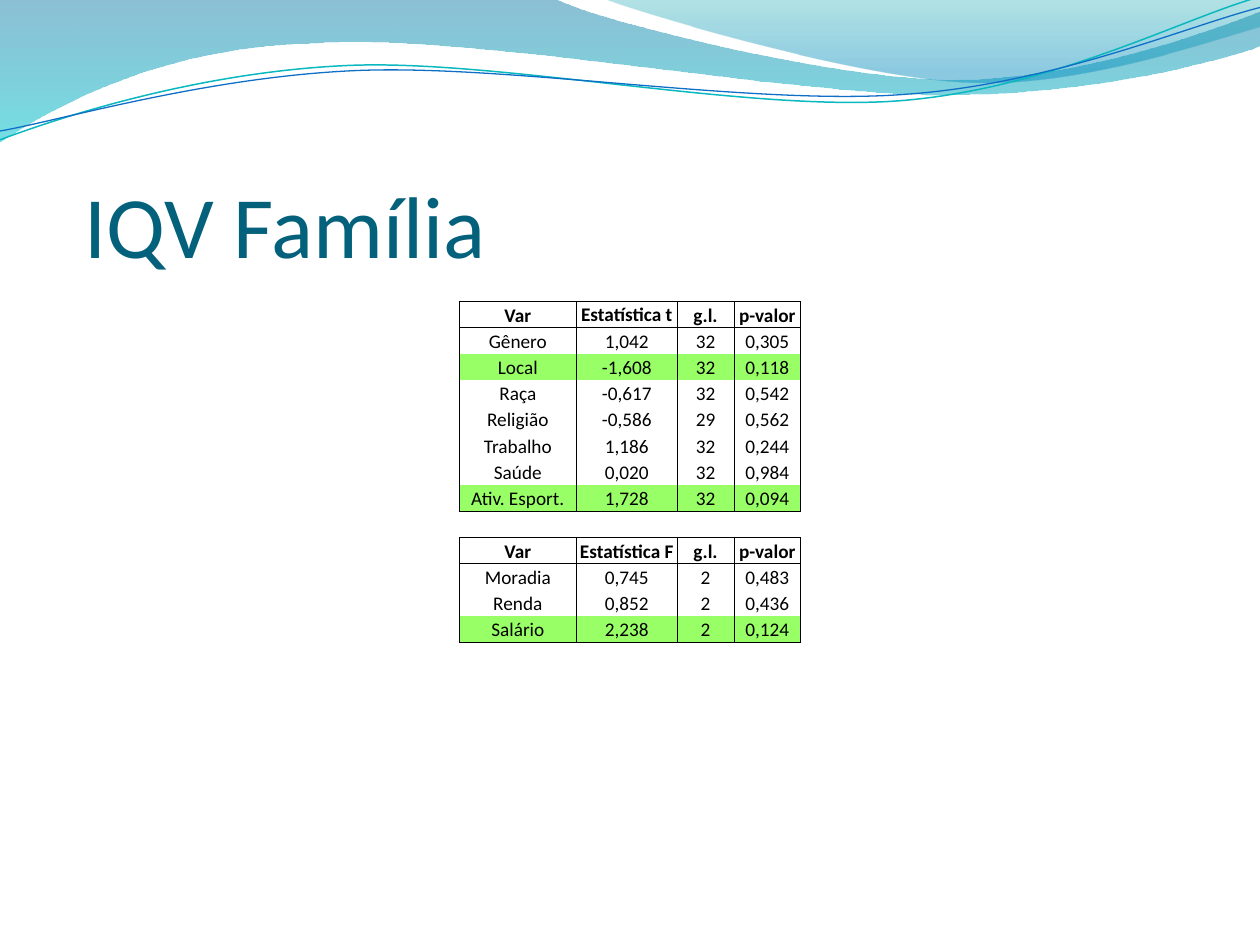
import math

import lxml.etree
import pptx
import pptx.dml.color
import pptx.enum.text
import pptx.oxml.ns
import pptx.util

ANCHOR = pptx.enum.text.MSO_ANCHOR
ALIGN = pptx.enum.text.PP_ALIGN
qn = pptx.oxml.ns.qn


def rgb(value):
    return pptx.dml.color.RGBColor.from_string(value)


def write(tf, text, size=11, color="000000", bold=False, align=ALIGN.CENTER,
          anchor=ANCHOR.MIDDLE):
    tf.vertical_anchor = anchor
    p = tf.paragraphs[0]
    p.alignment = align
    r = p.add_run()
    r.text = text
    r.font.name = "Calibri"
    r.font.size = pptx.util.Pt(size)
    r.font.bold = bold
    r.font.color.rgb = rgb(color)


prs = pptx.Presentation()
prs.slide_width = pptx.util.Inches(10)
prs.slide_height = pptx.util.Inches(7.5)
W, H = prs.slide_width, prs.slide_height
slide = prs.slides.add_slide(prs.slide_layouts[5])

waves = [
    dict(start=(0, 0), stops=[(0, "0074A1", 45), (1, "00C6CF", 55)], segments=[
        [(4.4, -0.01)],
        [(4.76, 0.17), (6.64, 0.63), (7.58, 0.63)],
        [(8.53, 0.63), (9.58, 0.26), (10, 0.09)],
        [(10.01, 0.36)],
        [(9.83, 0.44), (8.7, 0.76), (7.46, 0.75)],
        [(6.22, 0.75), (3.82, 0.28), (2.57, 0.34)],
        [(1.29, 0.36), (0.46, 0.83), (-0.01, 1.13)],
        [(0, 0)]]),
    dict(start=(4.79, -0.01), stops=[(0, "00A1A9", 30), (0.8, "008BBF", 45)], segments=[
        [(5.09, 0.11), (6.82, 0.62), (7.69, 0.65)],
        [(8.56, 0.69), (9.61, 0.32), (10, 0.21)],
        [(10, 0)],
        [(4.79, -0.01)]]),
    dict(start=(0, 1.11), line=("0AB8BF", 0.85), pivot=(4.99, 0.57), segments=[
        [(0.48, 0.93), (1.58, 0.57), (2.77, 0.52)],
        [(3.95, 0.47), (5.93, 0.89), (7.13, 0.8)],
        [(8.33, 0.71), (9.38, 0.15), (9.98, -0.02)]]),
    dict(start=(0, 1.04), line=("0F6FC6", 0.75), pivot=(5, 0.59), segments=[
        [(0.47, 0.96), (1.64, 0.61), (2.83, 0.56)],
        [(4.03, 0.51), (5.97, 0.84), (7.17, 0.75)],
        [(8.36, 0.67), (9.41, 0.21), (10, 0.06)]]),
]
TILT = 2.7
cos, sin = math.cos(math.radians(TILT)), math.sin(math.radians(TILT))
for wave in waves:
    points = [wave["start"]] + [pt for segment in wave["segments"] for pt in segment]
    if "pivot" in wave:
        px, py = wave["pivot"]
        points = [(px + (x - px) * cos - (y - py) * sin,
                   py + (x - px) * sin + (y - py) * cos) for x, y in points]
    points = [(x * 1000, y * 1000) for x, y in points]
    builder = slide.shapes.build_freeform(*points[0], scale=W / 10000)
    builder.add_line_segments(points[1:], close="stops" in wave)
    sp = builder.convert_to_shape()
    sp.shadow.inherit = False

    line_tos = iter(list(sp._element.spPr.iter(qn("a:lnTo"))))
    for segment in wave["segments"]:
        group = [next(line_tos) for _ in segment]
        if len(group) == 3:
            group[0].tag = qn("a:cubicBezTo")
            for extra in group[1:]:
                group[0].append(extra[0])
                extra.getparent().remove(extra)

    if "stops" in wave:
        sp.line.fill.background()
        sp.fill.gradient()
        sp.fill.gradient_angle = 270
        for stop, (position, color, alpha) in zip(sp.fill.gradient_stops, wave["stops"]):
            stop.position = position
            stop.color.rgb = rgb(color)
        for clr, (position, color, alpha) in zip(sp._element.spPr.iter(qn("a:srgbClr")),
                                                 wave["stops"]):
            lxml.etree.SubElement(clr, qn("a:alpha"), val=str(alpha * 1000))
    else:
        color, width = wave["line"]
        sp.rotation = 360 - TILT
        sp.fill.background()
        sp.line.color.rgb = rgb(color)
        sp.line.width = pptx.util.Pt(width)

title = slide.shapes.title
title.left, title.top = int(W * 0.067), int(H * 0.125)
title.width, title.height = int(W * 0.9), int(H / 6)
tf = title.text_frame
tf.auto_size = pptx.enum.text.MSO_AUTO_SIZE.NONE
tf.margin_left = tf.margin_right = tf.margin_bottom = 0
tf.margin_top = pptx.util.Inches(0.05)
write(tf, "IQV Família", size=50, color="04617B", align=ALIGN.LEFT, anchor=ANCHOR.BOTTOM)

rows = [
    ("Var", "Estatística t", "g.l.", "p-valor"),
    ("Gênero", "1,042", "32", "0,305"),
    ("Local", "-1,608", "32", "0,118"),
    ("Raça", "-0,617", "32", "0,542"),
    ("Religião", "-0,586", "29", "0,562"),
    ("Trabalho", "1,186", "32", "0,244"),
    ("Saúde", "0,020", "32", "0,984"),
    ("Ativ. Esport.", "1,728", "32", "0,094"),
    None,
    ("Var", "Estatística F", "g.l.", "p-valor"),
    ("Moradia", "0,745", "2", "0,483"),
    ("Renda", "0,852", "2", "0,436"),
    ("Salário", "2,238", "2", "0,124"),
]
highlighted = {"Local", "Ativ. Esport.", "Salário"}
col_shares = [0.093, 0.08, 0.045, 0.053]
row_height = int(H / 36)
table_width = int(W * sum(col_shares))
frame = slide.shapes.add_table(len(rows), len(col_shares), (W - table_width) // 2,
                               int(H * 0.319), table_width, row_height * len(rows))
table = frame.table
table.first_row = table.horz_banding = False
table._tbl.tblPr.find(qn("a:tableStyleId")).text = "{2D5ABB26-0587-4C30-8999-92F81FD0307C}"
for column, share in zip(table.columns, col_shares):
    column.width = int(W * share)

for i, values in enumerate(rows):
    table.rows[i].height = row_height
    header = values is not None and values[0] == "Var"
    after_header = i > 0 and rows[i - 1] is not None and rows[i - 1][0] == "Var"
    last = i + 1 == len(rows) or rows[i + 1] is None
    sides = "" if values is None else "LR"
    if header or after_header or values is None:
        sides += "T"
    if header or last or values is None:
        sides += "B"
    for j, cell in enumerate(table.rows[i].cells):
        cell.margin_left = cell.margin_right = cell.margin_top = pptx.util.Inches(0.01)
        cell.margin_bottom = 0
        tcPr = cell._tc.get_or_add_tcPr()
        for side in "LRTB":
            ln = lxml.etree.SubElement(tcPr, qn("a:ln" + side), w="6350")
            if side in sides:
                fill = lxml.etree.SubElement(ln, qn("a:solidFill"))
                lxml.etree.SubElement(fill, qn("a:srgbClr"), val="000000")
            else:
                lxml.etree.SubElement(ln, qn("a:noFill"))
        if values is None or (header and j == 1):
            cell.fill.background()
        else:
            cell.fill.solid()
            cell.fill.fore_color.rgb = rgb("99FF66" if values[0] in highlighted else "FFFFFF")
        if values is None:
            p = cell.text_frame.paragraphs[0]._p
            lxml.etree.SubElement(p, qn("a:endParaRPr"), sz="1100")
        else:
            write(cell.text_frame, values[j], bold=header)
            cell.vertical_anchor = ANCHOR.BOTTOM if header and j != 1 else ANCHOR.MIDDLE

prs.save("out.pptx")
